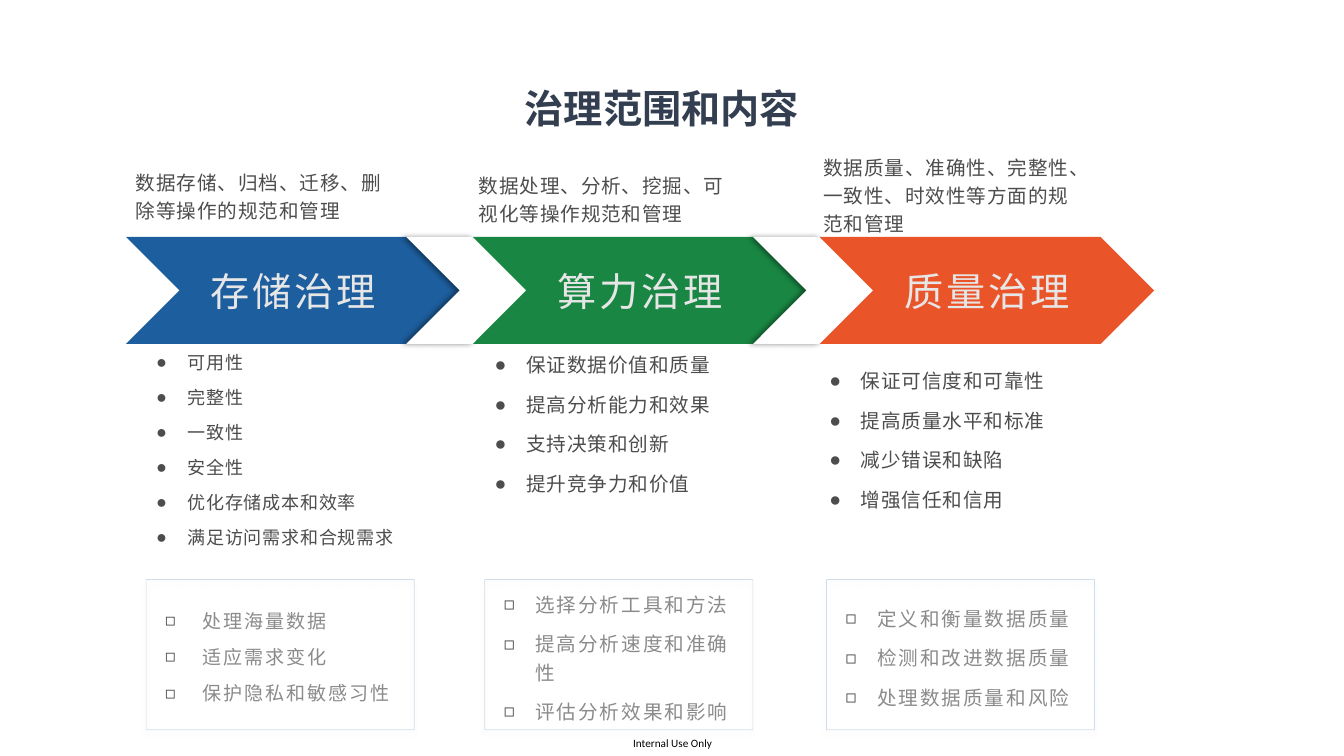
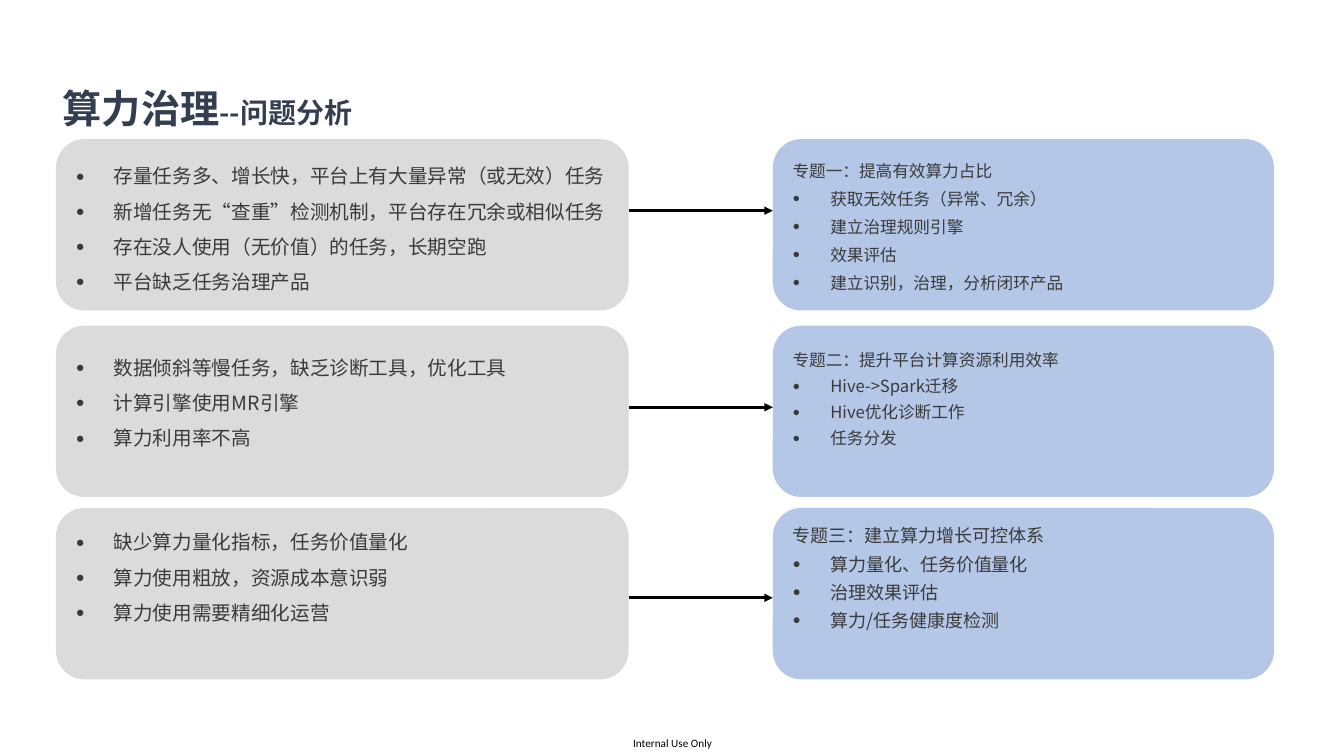
import copy

from lxml import etree
from pptx import Presentation
from pptx.dml.color import RGBColor
from pptx.enum import shapes, text
from pptx.oxml import parse_xml
from pptx.oxml.ns import nsdecls, qn
from pptx.util import Pt

FONT = "Noto Sans CJK SC"
NAVY = RGBColor(0x33, 0x3F, 0x50)
BLUE = RGBColor(0x1D, 0x5E, 0x9E)
GREEN = RGBColor(0x19, 0x87, 0x43)
ORANGE = RGBColor(0xEA, 0x54, 0x29)
WHITE = RGBColor(0xFF, 0xFF, 0xFF)
BLACK = RGBColor(0x00, 0x00, 0x00)
PALE = RGBColor(0xE7, 0xE6, 0xE6)
BODY = RGBColor(0x4D, 0x4D, 0x4D)
MUTED = RGBColor(0x8B, 0x8B, 0x8B)
INK = RGBColor(0x3A, 0x3A, 0x3A)
PANEL_GREY = RGBColor(0xDB, 0xDB, 0xDB)
PANEL_BLUE = RGBColor(0xB4, 0xC7, 0xE7)
CENTER = text.PP_ALIGN.CENTER
MIDDLE = text.MSO_ANCHOR.MIDDLE
SHAPE = shapes.MSO_SHAPE


def add(s, kind, box, fill=None, shadow_dir=None):
    """Add a preset shape, or a text box when kind is None."""
    box = [Pt(v) for v in box]
    if kind is None:
        return s.shapes.add_textbox(*box)
    sp = s.shapes.add_shape(kind, *box)
    sp.shadow.inherit = False
    sp.line.fill.background()
    if fill is None:
        sp.fill.background()
    else:
        sp.fill.solid()
        sp.fill.fore_color.rgb = fill
    if shadow_dir is not None:
        sp._element.spPr.find(qn("a:effectLst")).append(parse_xml(
            f'<a:outerShdw {nsdecls("a")} blurRad="50800" dist="38100" '
            f'dir="{shadow_dir * 60000}" algn="ctr" rotWithShape="0">'
            '<a:srgbClr val="000000"><a:alpha val="40000"/></a:srgbClr>'
            '</a:outerShdw>'))
    return sp


def write(sp, lines, size, color, font=FONT, bold=False, spc=0, spacing=1.0,
          after=0, align=text.PP_ALIGN.LEFT, anchor=text.MSO_ANCHOR.TOP,
          inset=(7.2, 3.6), bullet=None, indent=0, bullet_size=100,
          bullet_color=None, heading=False):
    """Write one paragraph per line; a heading is a first line without bullet."""
    tf = sp.text_frame
    tf.word_wrap = True
    tf.auto_size = text.MSO_AUTO_SIZE.NONE
    tf.vertical_anchor = anchor
    tf.margin_left = tf.margin_right = Pt(inset[0])
    tf.margin_top = tf.margin_bottom = Pt(inset[1])
    for i, line in enumerate(lines):
        p = tf.paragraphs[0] if i == 0 else tf.add_paragraph()
        p.text = line
        p.alignment, p.line_spacing, p.space_after = align, spacing, Pt(after)
        if bullet and not (heading and i == 0):
            pPr = p._p.get_or_add_pPr()
            pPr.set("marL", str(Pt(indent)))
            pPr.set("indent", str(-Pt(indent)))
            if bullet_color:
                clr = etree.SubElement(pPr, qn("a:buClr"))
                etree.SubElement(clr, qn("a:srgbClr"), val=str(bullet_color))
            etree.SubElement(pPr, qn("a:buSzPct"), val=str(bullet_size * 1000))
            etree.SubElement(pPr, qn("a:buFont"), typeface="Arial")
            etree.SubElement(pPr, qn("a:buChar"), char=bullet)
        for r in p.runs:
            r.font.size, r.font.bold, r.font.name = Pt(size), bold, font
            r.font.color.rgb = color
            rPr = r._r.get_or_add_rPr()
            rPr.set("spc", str(round(spc * 100)))
            etree.SubElement(rPr, qn("a:ea"), typeface=font)


prs = Presentation()
prs.slide_width, prs.slide_height = Pt(960), Pt(540)

# Titles and footers of both slides
titles = [
    ("治理范围和内容", 60.5, 824.4, CENTER),
    ("算力治理", 40.3, 378.7, text.PP_ALIGN.LEFT),
]
for label, left, width, align in titles:
    s = prs.slides.add_slide(prs.slide_layouts[5])
    title = s.shapes.title
    title.left, title.top = Pt(left), Pt(54)
    title.width, title.height = Pt(width), Pt(45.4)
    write(title, [label], 28, NAVY, bold=True, align=align, anchor=MIDDLE,
          inset=(4.5, 4.5))
    footer = add(s, None, (452.2, 525.6, 58.3, 9.6))
    write(footer, ["Internal Use Only"], 8, BLACK, font="Calibri", inset=(0, 0))
    footer.text_frame.word_wrap = False
scope, analysis = prs.slides

# Second, smaller part of the analysis title
p = analysis.shapes.title.text_frame.paragraphs[0]
p._p.append(copy.deepcopy(p.runs[0]._r))
r = p.runs[1]
r.text = "--问题分析"
r.font.size = Pt(20)

# Scope: row of chevrons, with a white gap chevron between neighbours
CHEVRON_TOP, CHEVRON_H, PITCH = 169.2, 76.5, 247.7
chevrons = [("存储治理", BLUE), ("算力治理", GREEN), ("质量治理", ORANGE)]
for i, (label, color) in enumerate(chevrons):
    left = 90 + i * PITCH
    sp = add(scope, SHAPE.CHEVRON, (left, CHEVRON_TOP, 239, CHEVRON_H), color)
    write(sp, [label], 28, PALE, spc=2, align=CENTER, anchor=MIDDLE, inset=(0, 0))
    if i < len(chevrons) - 1:
        add(scope, SHAPE.CHEVRON, (left + 200.2, CHEVRON_TOP, 86.4, CHEVRON_H),
            WHITE, shadow_dir=180)

# Scope: description, goals and challenges of each column
columns = [
    {"intro": (90, 115.2, "数据存储、归档、迁移、删除等操作的规范和管理"),
     "goals": (104.4, 246.2, 12.9, 1.1,
               ["可用性", "完整性", "一致性", "安全性",
                "优化存储成本和效率", "满足访问需求和合规需求"]),
     "tasks": (104.4, 13.6, 1.1, 27,
               ["处理海量数据", "适应需求变化", "保护隐私和敏感习性"])},
    {"intro": (334.8, 117.4, "数据处理、分析、挖掘、可视化等操作规范和管理"),
     "goals": (346.3, 245.5, 14, 1.2,
               ["保证数据价值和质量", "提高分析能力和效果",
                "支持决策和创新", "提升竞争力和价值"]),
     "tasks": (346.3, 14, 1.2, 22.5,
               ["选择分析工具和方法", "提高分析速度和准确性",
                "评估分析效果和影响"])},
    {"intro": (581, 104.4, "数据质量、准确性、完整性、一致性、时效性等方面的规范和管理"),
     "goals": (585.4, 257, 14, 1.2,
               ["保证可信度和可靠性", "提高质量水平和标准",
                "减少错误和缺陷", "增强信任和信用"]),
     "tasks": (590.4, 14, 1.2, 22.5,
               ["定义和衡量数据质量", "检测和改进数据质量",
                "处理数据质量和风险"])},
]
for column in columns:
    left, top, intro = column["intro"]
    write(add(scope, None, (left, top, 195, 51.8)), [intro], 14, BODY,
          spc=0.6, spacing=1.2, after=8)

    left, top, size, spacing, goals = column["goals"]
    write(add(scope, None, (left, top, 191.5, 158.4)), goals, size, BODY,
          spc=0.6, spacing=spacing, after=8, bullet="●", indent=22.5)

    left, size, spacing, indent, tasks = column["tasks"]
    frame = add(scope, SHAPE.RECTANGLE, (left, 414, 191.5, 107.3), shadow_dir=90)
    frame.line.color.rgb = BLUE
    frame.line.width = Pt(0.5)
    line_color = frame.line._ln.find(".//" + qn("a:srgbClr"))
    etree.SubElement(line_color, qn("a:alpha"), val="20000")
    write(add(scope, None, (left + 6.5, 421.9, 185, 92.9)), tasks, size, MUTED,
          spc=1.4, spacing=spacing, after=8, anchor=MIDDLE, bullet="◻",
          indent=indent, bullet_size=90, bullet_color=RGBColor(0x40, 0x40, 0x40))

# Analysis: problems on the left, an arrow, and the topic on the right
rows = [
    # panel top, text top, text height, arrow y, topic size, topic spacing
    (99.4, 104.4, 107.3, 150.5, 11.9, 1.4,
     ["存量任务多、增长快，平台上有大量异常（或无效）任务",
      "新增任务无“查重”检测机制，平台存在冗余或相似任务",
      "存在没人使用（无价值）的任务，长期空跑",
      "平台缺乏任务治理产品"],
     ["专题一：提高有效算力占比", "获取无效任务（异常、冗余）",
      "建立治理规则引擎", "效果评估", "建立识别，治理，分析闭环产品"]),
    (232.6, 241.2, 82.1, 290.9, 11.9, 1.3,
     ["数据倾斜等慢任务，缺乏诊断工具，优化工具",
      "计算引擎使用MR引擎", "算力利用率不高"],
     ["专题二：提升平台计算资源利用效率", "Hive->Spark迁移",
      "Hive优化诊断工作", "任务分发"]),
    (362.9, 365.8, 90.7, 427, 12.9, 1.3,
     ["缺少算力量化指标，任务价值量化",
      "算力使用粗放，资源成本意识弱", "算力使用需要精细化运营"],
     ["专题三：建立算力增长可控体系", "算力量化、任务价值量化",
      "治理效果评估", "算力/任务健康度检测"]),
]
list_style = dict(inset=(4.5, 4.5), bullet="●", indent=27, bullet_size=75)
for top, text_top, height, arrow_y, size, spacing, problems, topic in rows:
    add(analysis, SHAPE.ROUNDED_RECTANGLE, (40, top, 409, 122.4), PANEL_GREY)
    write(add(analysis, None, (49.7, text_top, 388, height)), problems, 14, INK,
          spacing=1.5, **list_style)

    add(analysis, SHAPE.ROUNDED_RECTANGLE, (552, top, 358, 122.4), PANEL_BLUE)
    write(add(analysis, None, (561.6, text_top, 340, height)), topic, size, INK,
          spacing=spacing, heading=True, **list_style)

    arrow = analysis.shapes.add_connector(
        shapes.MSO_CONNECTOR.STRAIGHT, Pt(449), Pt(arrow_y), Pt(552), Pt(arrow_y))
    arrow.line.color.rgb = BLACK
    arrow.line.width = Pt(2)
    etree.SubElement(arrow.line._ln, qn("a:tailEnd"), type="triangle")
    etree.SubElement(arrow._element.spPr, qn("a:effectLst"))

prs.save("out.pptx")
